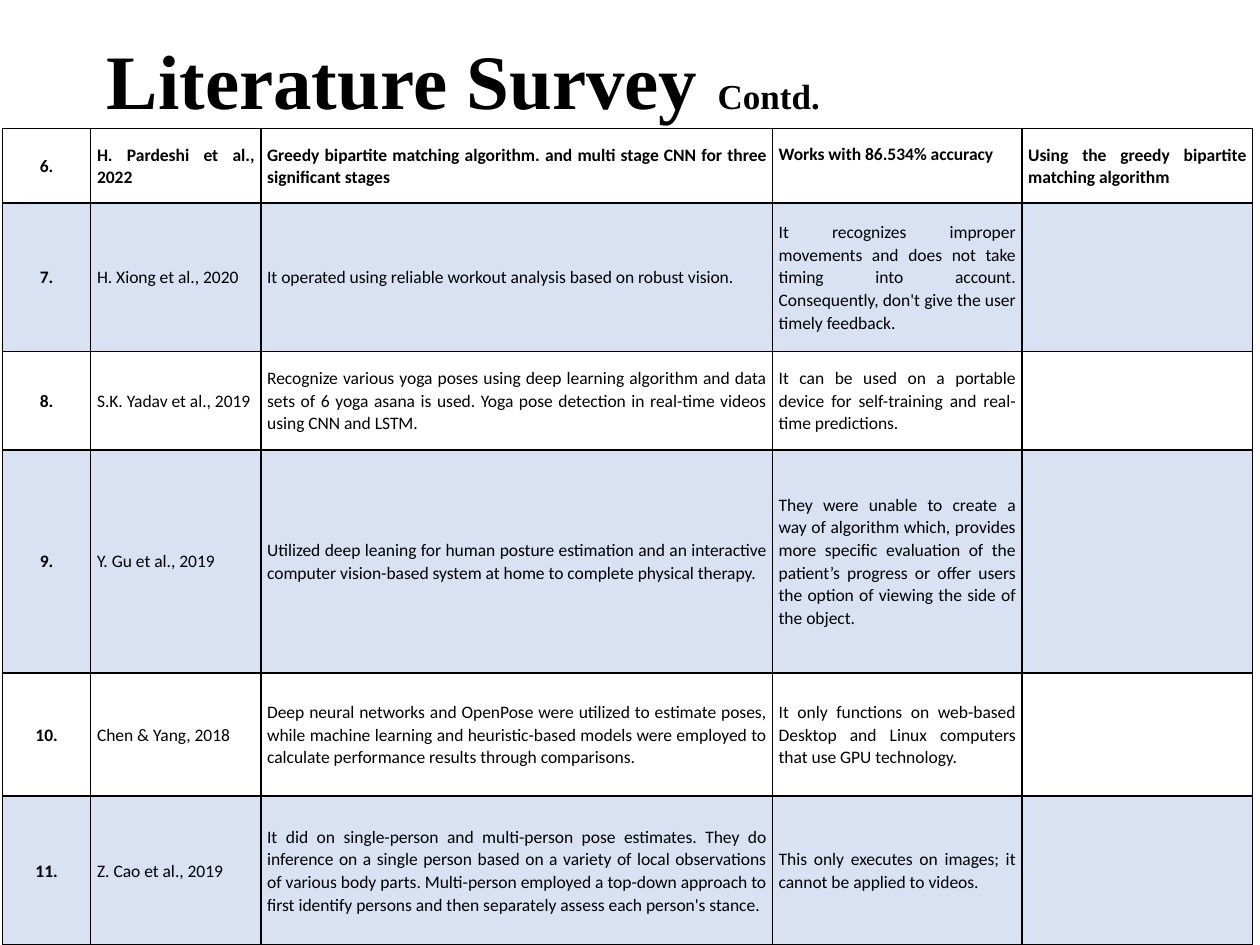
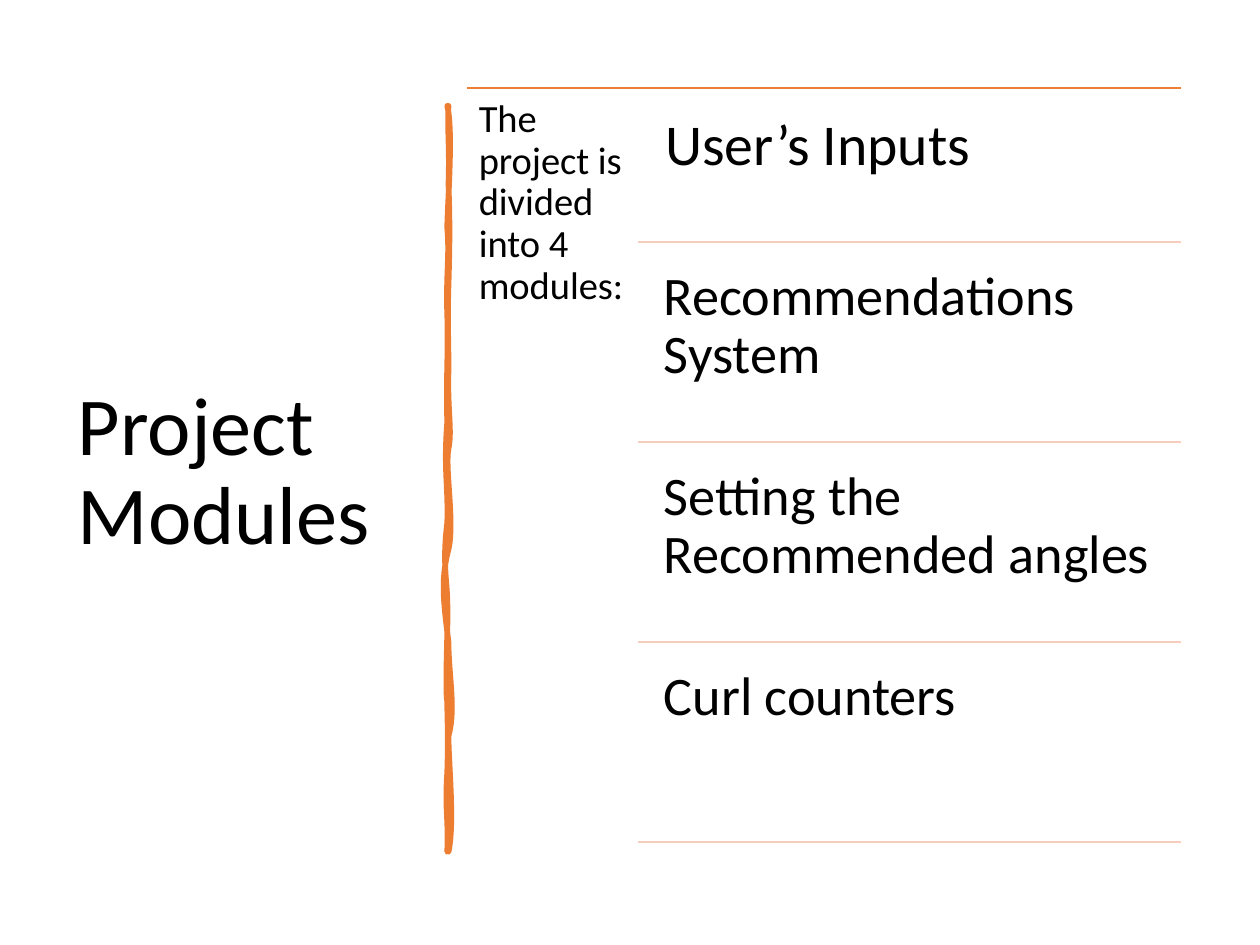
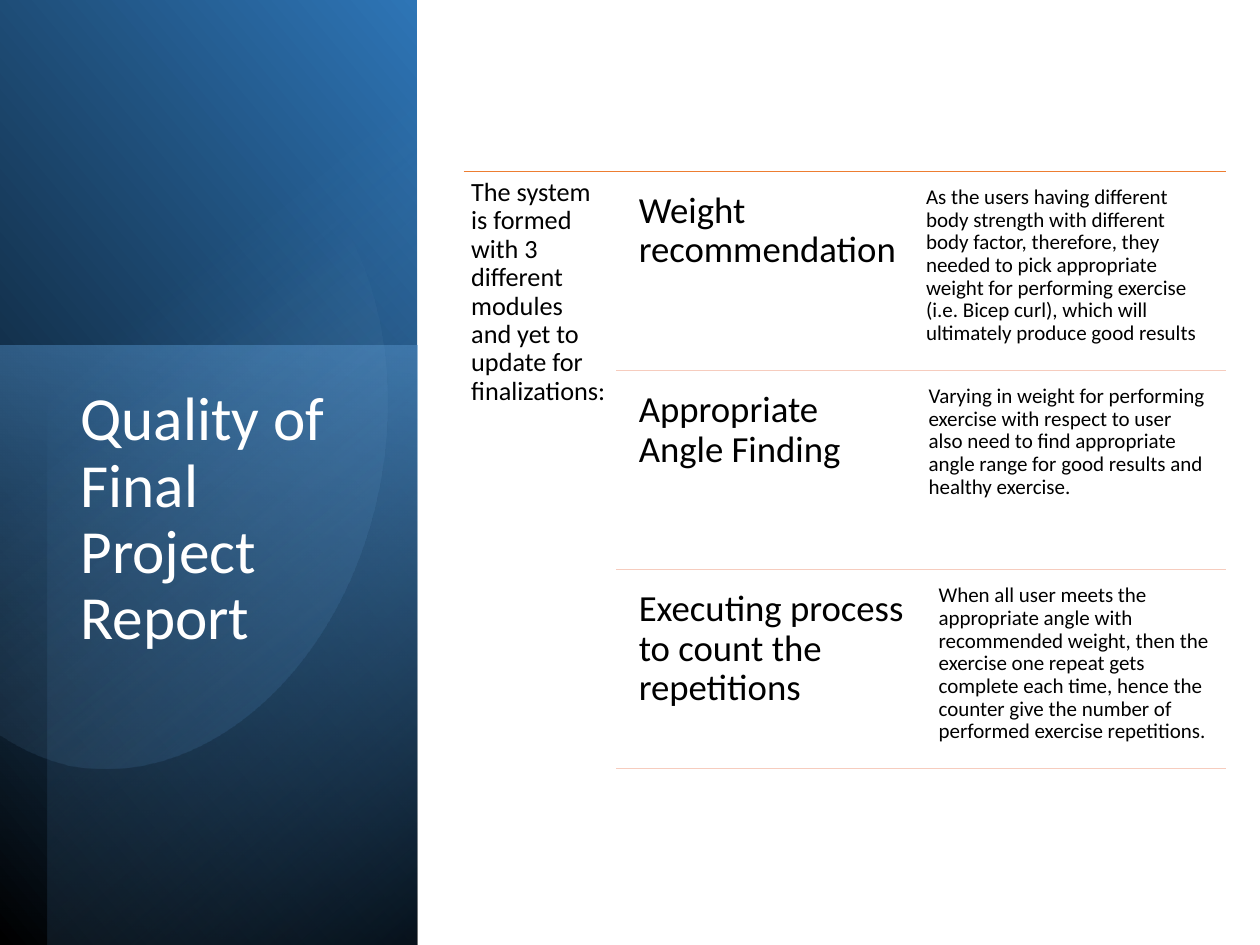
from pptx import Presentation
from pptx.dml.color import RGBColor
from pptx.enum.shapes import MSO_CONNECTOR, MSO_SHAPE
from pptx.enum.text import MSO_ANCHOR, PP_ALIGN
from pptx.oxml import parse_xml
from pptx.oxml.ns import nsdecls, qn
from pptx.util import Inches, Pt
from lxml.etree import SubElement

BODY_FONT = "Calibri"
TITLE_FONT = "Times New Roman"
BLACK, WHITE = "000000", "FFFFFF"
ORANGE, PALE_ORANGE, BAND_BLUE = "ED7D31", "F6CCBE", "4472C4"

SURVEY_COLUMNS = [0.7, 1.35, 4.06, 1.98, 1.83]
SURVEY_HEIGHTS = [0.59, 1.18, 0.78, 1.77, 0.98, 1.18]
SURVEY_ROWS = [
    ["6.", "H. Pardeshi et al., 2022",
     "Greedy bipartite matching algorithm. and multi stage CNN for three significant stages",
     "Works with 86.534% accuracy",
     "Using the greedy bipartite matching algorithm"],
    ["7.", "H. Xiong et al., 2020",
     "It operated using reliable workout analysis based on robust vision.",
     "It recognizes improper movements and does not take timing into account. "
     "Consequently, don't give the user timely feedback.", ""],
    ["8.", "S.K. Yadav et al., 2019",
     "Recognize various yoga poses using deep learning algorithm and data sets of 6 yoga "
     "asana is used. Yoga pose detection in real-time videos using CNN and LSTM.",
     "It can be used on a portable device for self-training and real-time predictions.", ""],
    ["9.", "Y. Gu et al., 2019",
     "Utilized deep leaning for human posture estimation and an interactive computer "
     "vision-based system at home to complete physical therapy.",
     "They were unable to create a way of algorithm which, provides more specific "
     "evaluation of the patient’s progress or offer users the option of viewing the side "
     "of the object.", ""],
    ["10.", "Chen & Yang, 2018",
     "Deep neural networks and OpenPose were utilized to estimate poses, while machine "
     "learning and heuristic-based models were employed to calculate performance "
     "results through comparisons.",
     "It only functions on web-based Desktop and Linux computers that use GPU technology.", ""],
    ["11.", "Z. Cao et al., 2019",
     "It did on single-person and multi-person pose estimates. They do inference on a "
     "single person based on a variety of local observations of various body parts. "
     "Multi-person employed a top-down approach to first identify persons and then "
     "separately assess each person's stance.",
     "This only executes on images; it cannot be applied to videos.", ""],
]

MODULES = [
    ("User’s Inputs", 33, 0.14),
    ("Recommendations System", 31, 0.13),
    ("Setting the Recommended angles", 31, 0.13),
    ("Curl counters", 31, 0.13),
]

REPORT_PARTS = [
    ("Weight recommendation", 2.23, 7.3,
     "As the users having different body strength with different body factor, therefore, "
     "they needed to pick appropriate weight for performing exercise (i.e. Bicep curl), "
     "which will ultimately produce good results"),
    ("Appropriate Angle Finding", 2.25, 7.32,
     "Varying in weight for performing exercise with respect to user also need to find "
     "appropriate angle range for good results and healthy exercise."),
    ("Executing process to count the repetitions", 2.33, 7.4,
     "When all user meets the appropriate angle with recommended weight, then the exercise "
     "one repeat gets complete each time, hence the counter give the number of performed "
     "exercise repetitions."),
]

BRUSH_START = (3.56, 0.84)
BRUSH_CURVES = [
    (3.55, 1.03, 3.57, 1.16, 3.56, 1.46), (3.57, 1.74, 3.57, 1.91, 3.56, 2.26),
    (3.55, 2.58, 3.56, 2.62, 3.56, 2.94), (3.55, 3.25, 3.59, 3.42, 3.56, 3.56),
    (3.53, 3.72, 3.61, 4.14, 3.56, 4.36), (3.49, 4.62, 3.53, 4.83, 3.56, 5.1),
    (3.56, 5.35, 3.62, 5.63, 3.56, 5.84), (3.56, 6.06, 3.61, 6.53, 3.56, 6.76),
    (3.56, 6.75, 3.55, 6.76, 3.55, 6.76), (3.56, 6.45, 3.53, 6.44, 3.55, 6.13),
    (3.56, 5.83, 3.55, 5.7, 3.55, 5.57), (3.53, 5.46, 3.56, 4.94, 3.55, 4.77),
    (3.55, 4.62, 3.51, 4.47, 3.55, 4.15), (3.56, 3.86, 3.52, 3.73, 3.55, 3.35),
    (3.54, 3, 3.56, 2.79, 3.55, 2.5), (3.54, 2.16, 3.57, 2.03, 3.55, 1.81),
    (3.55, 1.65, 3.6, 1.04, 3.55, 0.84),
]

GLOW_START = (1.2, 0.89)
GLOW_CURVES = [
    (1.33, 0.88, 1.47, 0.89, 1.6, 0.91), (2.67, 1.13, 3.29, 2.47, 3, 3.89),
    (2.71, 5.31, 1.61, 6.28, 0.54, 6.07), (0.34, 6.02, 0.16, 5.94, 0, 5.83),
    (0, 4.4, 0, 2.9, 0, 1.45), (0.08, 1.38, 0.16, 1.31, 0.25, 1.25),
    (0.54, 1.04, 0.87, 0.91, 1.2, 0.89),
]


def color(value):
    return RGBColor.from_string(value)


def add_run(paragraph, text, size, font=BODY_FONT, font_color=BLACK, bold=False):
    run = paragraph.add_run()
    run.text = text
    run.font.size = Pt(size)
    run.font.name = font
    run.font.bold = bold
    run.font.color.rgb = color(font_color)


def add_text_box(slide, left, top, width, height, anchor=MSO_ANCHOR.TOP, inset=None):
    box = slide.shapes.add_textbox(Inches(left), Inches(top), Inches(width), Inches(height))
    frame = box.text_frame
    frame.word_wrap = True
    frame.vertical_anchor = anchor
    if inset is not None:
        frame.margin_left = frame.margin_right = Inches(inset)
        frame.margin_top = frame.margin_bottom = Inches(inset)
    paragraph = frame.paragraphs[0]
    paragraph.line_spacing = 0.9
    return paragraph


def add_rule(slide, left, right, top, line_color=PALE_ORANGE, width=1):
    rule = slide.shapes.add_connector(
        MSO_CONNECTOR.STRAIGHT, Inches(left), Inches(top), Inches(right), Inches(top))
    rule.line.color.rgb = color(line_color)
    rule.line.width = Pt(width)
    SubElement(rule._element.spPr, qn("a:effectLst"))


def add_curved_outline(slide, start, curves):
    points = [(Inches(x), Inches(y))
              for curve in curves for x, y in zip(curve[::2], curve[1::2])]
    builder = slide.shapes.build_freeform(Inches(start[0]), Inches(start[1]))
    builder.add_line_segments(points, close=True)
    shape = builder.convert_to_shape()
    shape.shadow.inherit = False
    segments = list(shape._element.iter(qn("a:lnTo")))
    for first, second, third in zip(segments[::3], segments[1::3], segments[2::3]):
        curve = parse_xml(f'<a:cubicBezTo {nsdecls("a")}/>')
        first.addprevious(curve)
        for segment in (first, second, third):
            curve.append(segment[0])
            segment.getparent().remove(segment)
    return shape


def set_gradient(shape, stops, angle):
    shape.line.fill.background()
    shape.fill.gradient()
    stop_xml = "".join(
        f'<a:gs pos="{position * 1000}"><a:srgbClr val="{value}">'
        f'<a:alpha val="{opacity * 1000}"/></a:srgbClr></a:gs>'
        for position, value, opacity in stops)
    gradient = parse_xml(
        f'<a:gradFill {nsdecls("a")} rotWithShape="1"><a:gsLst>{stop_xml}</a:gsLst>'
        f'<a:lin ang="{angle * 60000}" scaled="0"/></a:gradFill>')
    properties = shape._element.spPr
    properties.replace(properties.find(qn("a:gradFill")), gradient)


def add_gradient_panel(slide, left, top, width, height, stops, angle):
    panel = slide.shapes.add_shape(
        MSO_SHAPE.RECTANGLE, Inches(left), Inches(top), Inches(width), Inches(height))
    panel.shadow.inherit = False
    set_gradient(panel, stops, angle)


def style_cell(cell, banded):
    cell.margin_left = cell.margin_right = Inches(0.05)
    cell.margin_top = cell.margin_bottom = 0
    cell.vertical_anchor = MSO_ANCHOR.MIDDLE
    properties = cell._tc.get_or_add_tcPr()
    for side in ("lnL", "lnR", "lnT", "lnB"):
        properties.append(parse_xml(
            f'<a:{side} {nsdecls("a")} w="12700"><a:solidFill>'
            f'<a:srgbClr val="{BLACK}"/></a:solidFill></a:{side}>'))
    if banded:
        cell.fill.solid()
        cell.fill.fore_color.rgb = color(BAND_BLUE)
        fill_color = properties.find(qn("a:solidFill")).find(qn("a:srgbClr"))
        SubElement(fill_color, qn("a:alpha")).set("val", "20000")
    else:
        cell.fill.background()


def add_survey_table(slide):
    table = slide.shapes.add_table(
        len(SURVEY_ROWS), len(SURVEY_COLUMNS), Inches(0.02), Inches(1.02),
        Inches(sum(SURVEY_COLUMNS)), Inches(sum(SURVEY_HEIGHTS))).table
    table.first_row = table.horz_banding = False
    for column, width in zip(table.columns, SURVEY_COLUMNS):
        column.width = Inches(width)
    for row_index, texts in enumerate(SURVEY_ROWS):
        table.rows[row_index].height = Inches(SURVEY_HEIGHTS[row_index])
        for column_index, text in enumerate(texts):
            cell = table.cell(row_index, column_index)
            style_cell(cell, banded=row_index % 2 == 1)
            if text:
                paragraph = cell.text_frame.paragraphs[0]
                paragraph.alignment = PP_ALIGN.JUSTIFY if column_index else PP_ALIGN.CENTER
                paragraph.line_spacing = 1.07
                add_run(paragraph, text, 10, bold=row_index == 0 or column_index == 0)
    accuracy_cell = table.cell(0, 3)
    accuracy_cell.vertical_anchor = MSO_ANCHOR.TOP
    accuracy_cell.margin_top = Inches(0.11)


def build_survey_slide(slide):
    title = add_text_box(slide, 0.75, 0.24, 8.62, 0.87, MSO_ANCHOR.MIDDLE)
    add_run(title, "Literature Survey ", 44, TITLE_FONT, bold=True)
    add_run(title, "Contd.", 20, TITLE_FONT, bold=True)
    add_survey_table(slide)


def build_modules_slide(slide):
    title = add_text_box(slide, 0.52, 0.7, 2.8, 6.11, MSO_ANCHOR.MIDDLE)
    add_run(title, "Project Modules", 47)
    brush = add_curved_outline(slide, BRUSH_START, BRUSH_CURVES)
    brush.fill.solid()
    brush.fill.fore_color.rgb = color(ORANGE)
    brush.line.color.rgb = color(ORANGE)
    brush.line.width = Pt(3.25)

    add_rule(slide, 3.71, 9.37, 0.7, ORANGE)
    intro = add_text_box(slide, 3.71, 0.7, 1.34, 6.05, inset=0.09)
    add_run(intro, "The project is divided into 4 modules:", 22)
    top = 0.7
    for index, (name, size, inset) in enumerate(MODULES):
        bottom = 1.92 + index * 4.76 / 3
        module = add_text_box(slide, 5.14, top + 0.08, 4.23, bottom - top - 0.08, inset=inset)
        add_run(module, name, size)
        add_rule(slide, 5.06, 9.37, bottom)
        top = bottom


def build_report_slide(slide):
    add_gradient_panel(slide, 0, 0, 3.31, 7.5,
                       [(0, BLACK, 100), (100, "2E75B6", 100)], 320)
    add_gradient_panel(slide, 0, 2.74, 3.31, 4.76,
                       [(0, "5B9BD5", 50), (100, "1F4E79", 0)], 100)
    add_gradient_panel(slide, 0.38, 0, 2.93, 7.5,
                       [(0, BLACK, 59), (69, "5B9BD5", 0)], 230)
    glow = add_curved_outline(slide, GLOW_START, GLOW_CURVES)
    set_gradient(glow, [(39, "9DC3E6", 0), (100, "2E75B6", 26)], 52)
    title = add_text_box(slide, 0.54, 3.03, 2.36, 3.36)
    add_run(title, "Quality of Final Project Report", 35, font_color=WHITE)

    add_rule(slide, 3.68, 9.73, 1.36, ORANGE, 0.5)
    intro = add_text_box(slide, 3.68, 1.36, 1.21, 4.82, inset=0.06)
    add_run(intro, "The system is formed with 3 different modules and yet to update "
                   "for finalizations:", 15)
    for index, (name, name_width, detail_left, detail) in enumerate(REPORT_PARTS):
        top = 1.36 + index * 1.58
        heading = add_text_box(slide, 4.98, top + 0.07, name_width, 1.51, inset=0.09)
        add_run(heading, name, 21)
        description = add_text_box(slide, detail_left, top + 0.07, 2.33, 1.51, inset=0.05)
        add_run(description, detail, 12)
        add_rule(slide, 4.89, 9.73, top + 1.58)


def main():
    presentation = Presentation()
    presentation.slide_width = Inches(10)
    presentation.slide_height = Inches(7.5)
    for build_slide in (build_survey_slide, build_modules_slide, build_report_slide):
        build_slide(presentation.slides.add_slide(presentation.slide_layouts[6]))
    presentation.save("out.pptx")


if __name__ == "__main__":
    main()
